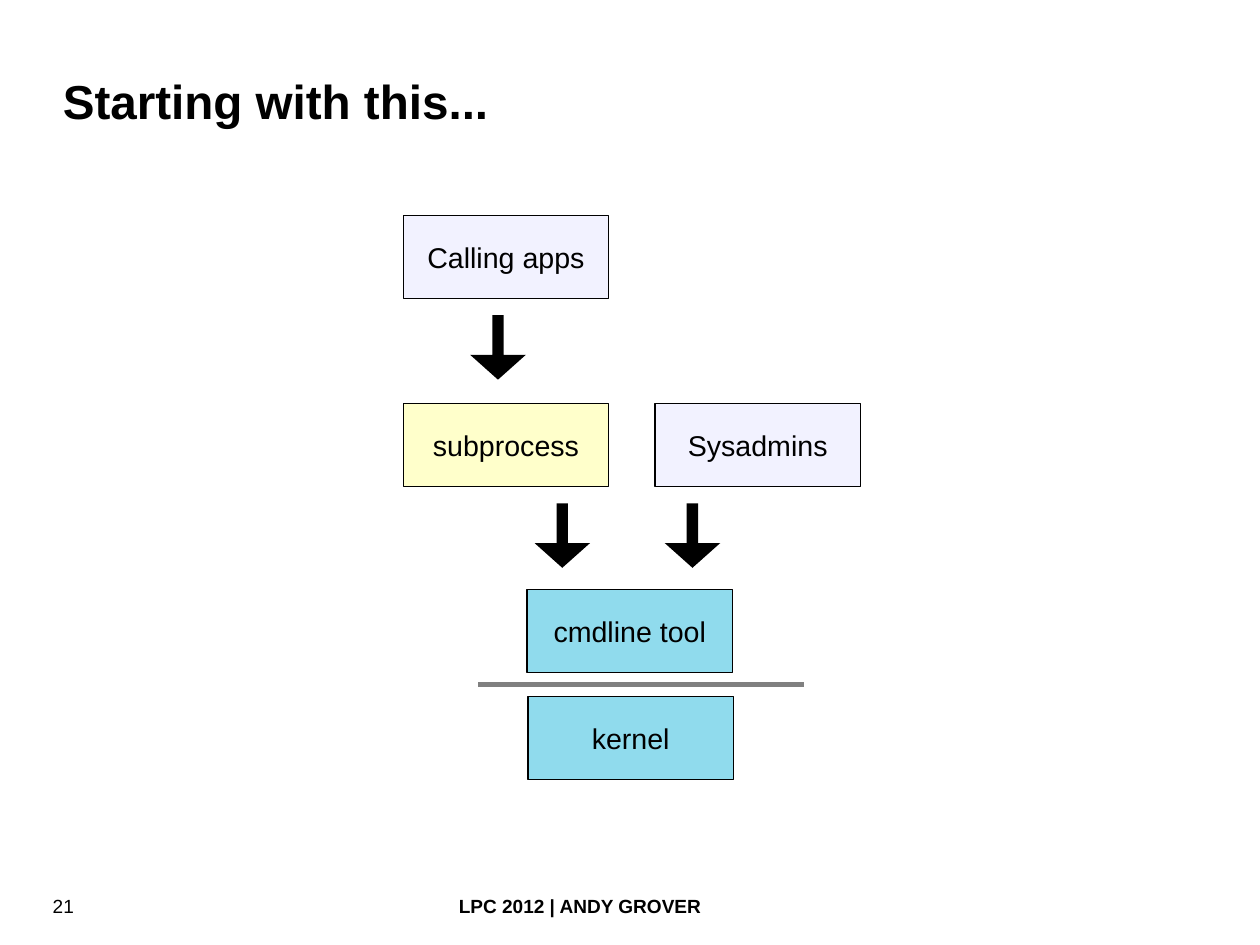
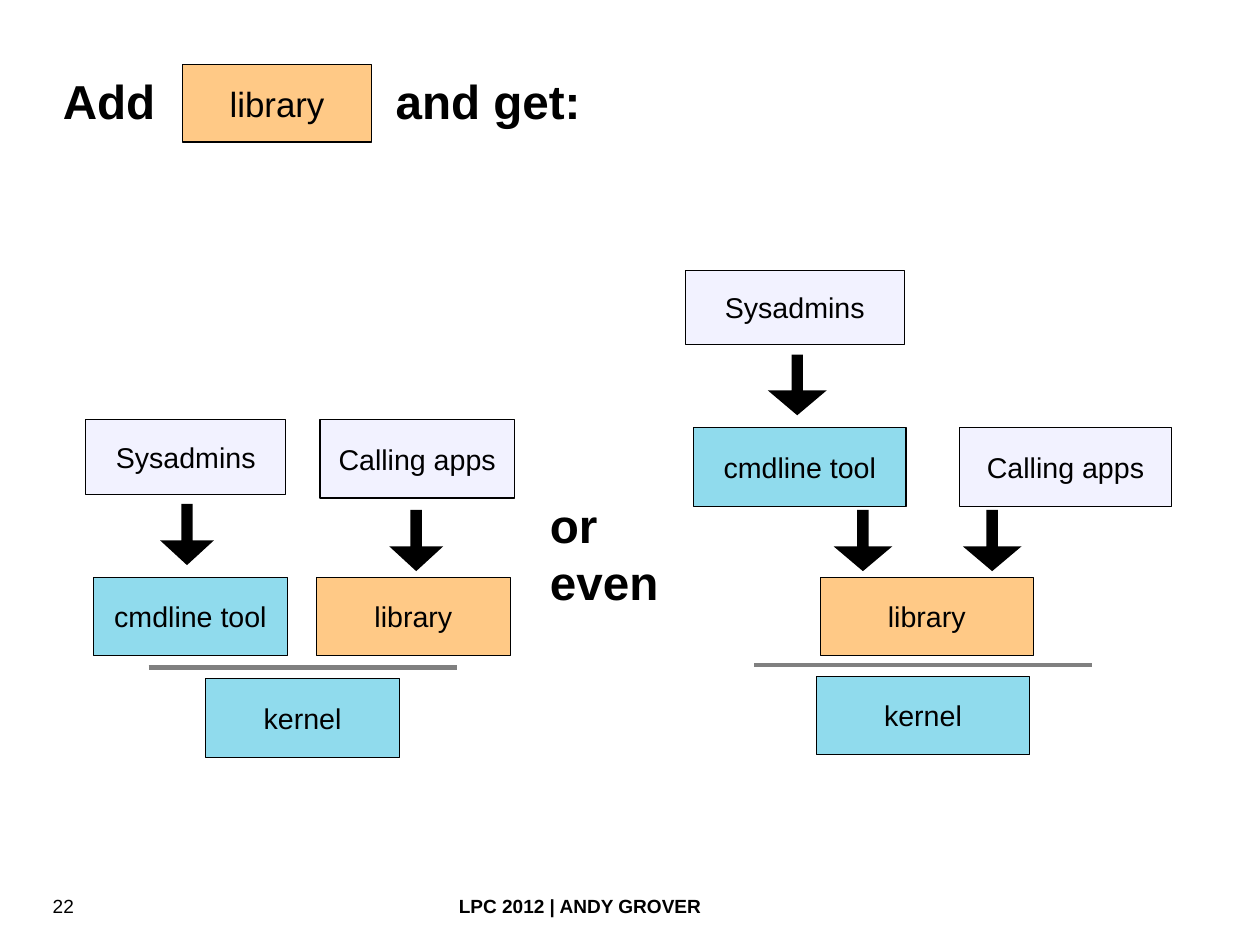
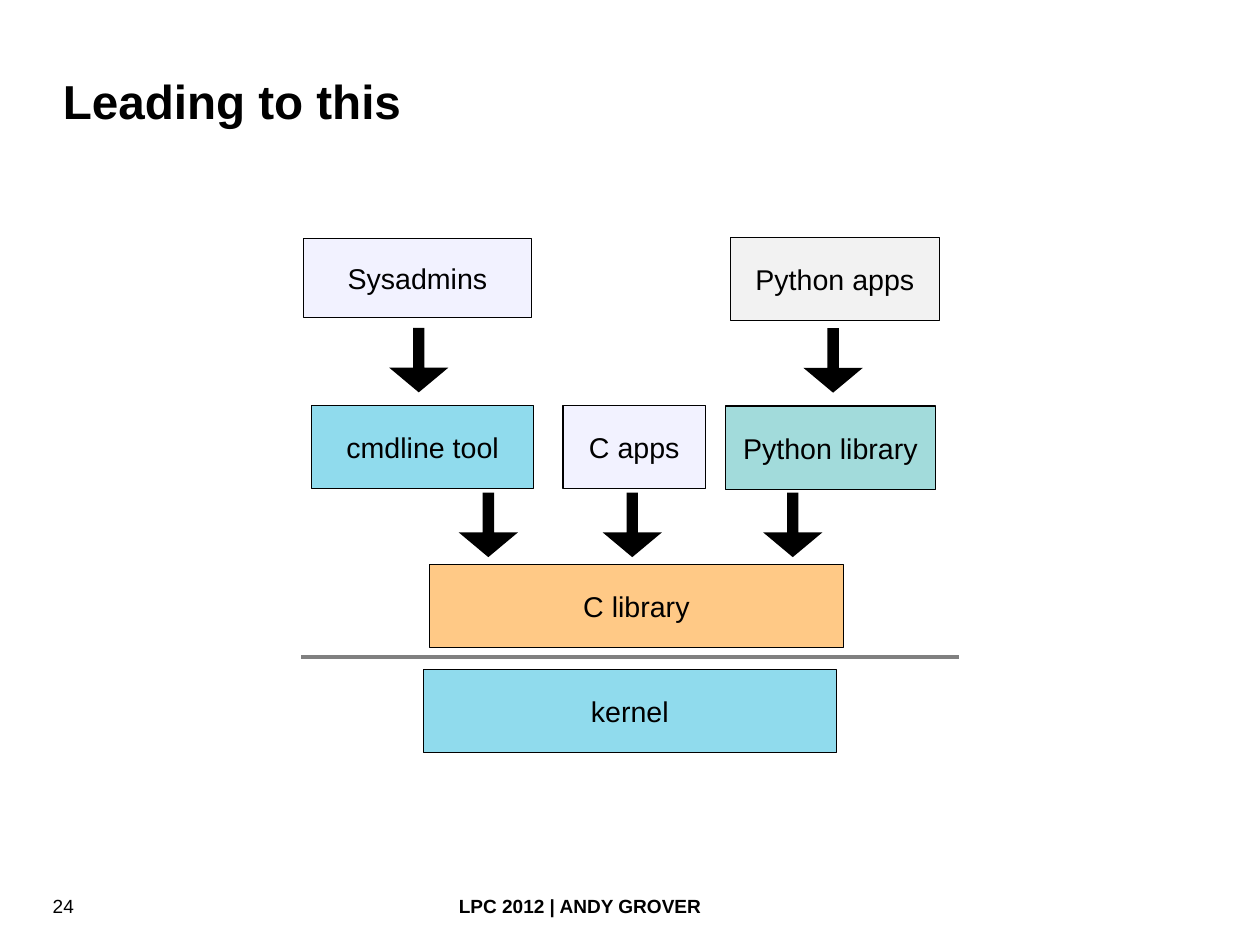
from typing import NamedTuple

from lxml.etree import SubElement
from pptx import Presentation
from pptx.dml.color import RGBColor
from pptx.enum.shapes import MSO_CONNECTOR as Connector, MSO_SHAPE as Preset
from pptx.enum.text import MSO_ANCHOR as Anchor, PP_ALIGN as Align
from pptx.oxml.ns import qn
from pptx.util import Pt

# Shared style
PAGE_WIDTH, PAGE_HEIGHT = 793.7, 595.28
FONT = "Arial"
BLACK = RGBColor(0x00, 0x00, 0x00)
GRAY = RGBColor(0x80, 0x80, 0x80)
BLUE = RGBColor(0x23, 0xB8, 0xDC)
YELLOW = RGBColor(0xFF, 0xFF, 0x99)
LAVENDER = RGBColor(0xE6, 0xE6, 0xFF)
ORANGE = RGBColor(0xFF, 0x95, 0x0E)
TEAL = RGBColor(0x47, 0xB8, 0xB8)
PALE_GRAY = RGBColor(0xE6, 0xE6, 0xE6)
FOOTER = "LPC 2012 | ANDY GROVER"
FOOTER_TOP = 563.4
SHAFT, HEAD = 7.2, 15.6


class Heading(NamedTuple):
    text: str
    left: float = 39.6
    top: float = 18
    width: float = 700
    height: float = 90


class Block(NamedTuple):
    text: str
    colour: RGBColor
    left: float
    top: float
    width: float = 129.4
    height: float = 52.5
    size: float = 18


class Arrow(NamedTuple):
    center: float
    top: float
    width: float = 37.4
    height: float = 40.6


class Bar(NamedTuple):
    left: float
    right: float
    y: float


class Page(NamedTuple):
    number: int
    headings: list[Heading]
    blocks: list[Block]
    arrows: list[Arrow]
    bars: list[Bar]


# Slide contents
STARTING = Page(
    21,
    [Heading("Starting with this...")],
    [
        Block("kernel", BLUE, 332.6, 438.6),
        Block("cmdline tool", BLUE, 332, 371.2),
        Block("subprocess", YELLOW, 254, 254.1),
        Block("Calling apps", LAVENDER, 254, 135.6),
        Block("Sysadmins", LAVENDER, 412.6, 254.1),
    ],
    [Arrow(354.2, 317.1, 35), Arrow(313.7, 198.6, 35), Arrow(436.2, 317.1, 35)],
    [Bar(301.2, 506.6, 431.2)],
)
ADDING = Page(
    22,
    [
        Heading("Add", width=86.4),
        Heading("and get:", left=249.2, width=130),
        Heading("or even", 346.4, 315.2, 86.4, 66),
    ],
    [
        Block("kernel", BLUE, 129.4, 427.4, 122.4, 49.6),
        Block("cmdline tool", BLUE, 58.8, 363.6, 122.4, 49.6),
        Block("Calling apps", LAVENDER, 201.6, 264.2, 122.4, 49.6),
        Block("library", ORANGE, 199.2, 363.6, 122.4, 49.6),
        Block("Sysadmins", LAVENDER, 54, 264.2, 126, 47.2),
        Block("kernel", BLUE, 514.4, 426, 134, 49.4),
        Block("cmdline tool", BLUE, 436.8, 269.3, 134, 49.6),
        Block("Calling apps", LAVENDER, 604.2, 269.3, 134, 49.6),
        Block("library", ORANGE, 516.8, 363.6, 134, 49.4),
        Block("Sysadmins", LAVENDER, 431.7, 170.2, 138, 47),
        Block("library", ORANGE, 115, 40.5, 119, 49, 22),
    ],
    [
        Arrow(262.2, 321.2, 34, 38.6),
        Arrow(117.8, 317.4, 34, 38.6),
        Arrow(502.2, 223.4, 37, 38.2),
        Arrow(543.6, 321.2, 37, 38.6),
        Arrow(625, 321.2, 37, 38.6),
    ],
    [Bar(93.6, 288, 420.4), Bar(475, 687.6, 418.8)],
)
LEADING = Page(
    24,
    [Heading("Leading to this")],
    [
        Block("kernel", BLUE, 266.6, 421.6, 260.4),
        Block("cmdline tool", BLUE, 196.2, 255.2, 140),
        Block("C apps", LAVENDER, 354.7, 255.2, 89.6),
        Block("C library", ORANGE, 270.6, 355.4, 260.6),
        Block("Sysadmins", LAVENDER, 191, 150.5, 144, 49.4),
        Block("Python library", TEAL, 457, 255.8, 132.2),
        Block("Python apps", PALE_GRAY, 460, 149.6, 131.8),
    ],
    [
        Arrow(398.3, 310.4),
        Arrow(307.6, 310.4),
        Arrow(499.4, 310.4),
        Arrow(263.8, 206.6),
        Arrow(524.8, 206.8),
    ],
    [Bar(189.8, 604, 413.9)],
)


def write(shape, text: str, size: float, bold: bool = False, align=Align.LEFT):
    frame = shape.text_frame
    frame.text = text
    para = frame.paragraphs[0]
    para.alignment = align
    font = para.runs[0].font
    font.name, font.size, font.bold = FONT, Pt(size), bold
    font.color.rgb = BLACK
    return frame


def add_text(slide, area: Heading, size: float, bold: bool, align=Align.LEFT):
    box = slide.shapes.add_textbox(*map(Pt, area[1:]))
    frame = write(box, area.text, size, bold, align)
    frame.word_wrap = True
    frame.margin_left = frame.margin_right = Pt(0)
    frame.margin_top = frame.margin_bottom = Pt(0)
    return frame


def add_heading(slide, heading: Heading) -> None:
    frame = add_text(slide, heading, 30, True)
    frame.vertical_anchor = Anchor.MIDDLE
    frame.paragraphs[0].line_spacing = Pt(36)


def add_footer(slide, number: int) -> None:
    add_text(slide, Heading(FOOTER, 190.8, FOOTER_TOP, 349.2, 18), 12, True, Align.CENTER)
    add_text(slide, Heading(str(number), 33.2, FOOTER_TOP, 90, 18), 12, False)


def add_block(slide, block: Block) -> None:
    shape = slide.shapes.add_shape(
        Preset.RECTANGLE, Pt(block.left), Pt(block.top), Pt(block.width), Pt(block.height)
    )
    shape.shadow.inherit = False
    shape.fill.solid()
    shape.fill.fore_color.rgb = block.colour
    # Half-transparent fill
    colour = shape.fill._xPr.find(qn("a:solidFill")).find(qn("a:srgbClr"))
    SubElement(colour, qn("a:alpha"), val="50000")
    shape.line.color.rgb = BLACK
    shape.line.width = Pt(0)
    frame = write(shape, block.text, block.size, align=Align.CENTER)
    frame.vertical_anchor = Anchor.MIDDLE
    frame.word_wrap = False


def add_arrow(slide, arrow: Arrow) -> None:
    shape = slide.shapes.add_shape(
        Preset.DOWN_ARROW,
        Pt(arrow.center - arrow.width / 2),
        Pt(arrow.top),
        Pt(arrow.width),
        Pt(arrow.height),
    )
    shape.adjustments[0] = SHAFT / arrow.width
    shape.adjustments[1] = HEAD / arrow.width
    shape.shadow.inherit = False
    shape.fill.solid()
    shape.fill.fore_color.rgb = BLACK
    shape.line.fill.background()


def add_bar(slide, bar: Bar) -> None:
    line = slide.shapes.add_connector(
        Connector.STRAIGHT, Pt(bar.left), Pt(bar.y), Pt(bar.right), Pt(bar.y)
    )
    line.line.color.rgb = GRAY
    line.line.width = Pt(2.89)
    SubElement(line._element.spPr, qn("a:effectLst"))


def add_page(deck, page: Page) -> None:
    slide = deck.slides.add_slide(deck.slide_layouts[6])
    add_footer(slide, page.number)
    for heading in page.headings:
        add_heading(slide, heading)
    for block in page.blocks:
        add_block(slide, block)
    for bar in page.bars:
        add_bar(slide, bar)
    for arrow in page.arrows:
        add_arrow(slide, arrow)


def main() -> None:
    deck = Presentation()
    deck.slide_width, deck.slide_height = Pt(PAGE_WIDTH), Pt(PAGE_HEIGHT)
    for page in (STARTING, ADDING, LEADING):
        add_page(deck, page)
    deck.save("out.pptx")


if __name__ == "__main__":
    main()
